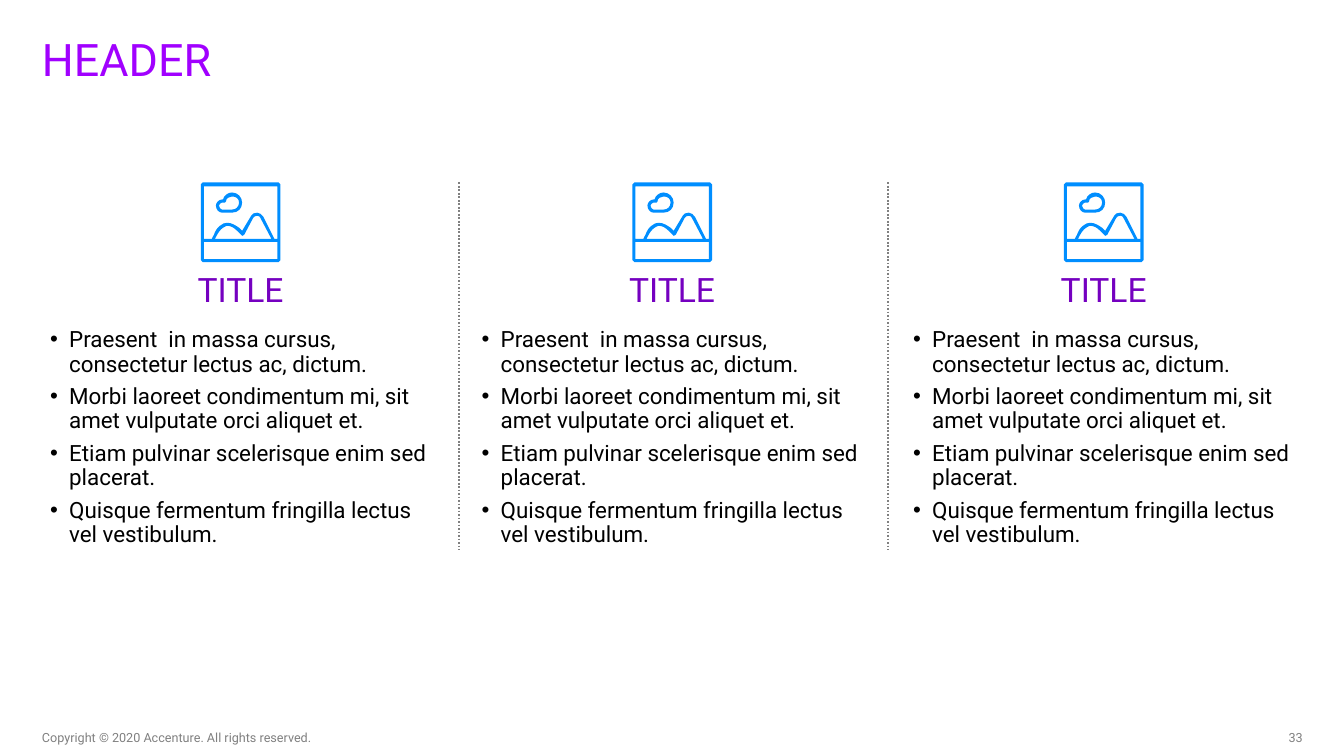
from lxml.etree import SubElement
from pptx import Presentation
from pptx.dml.color import RGBColor
from pptx.enum.dml import MSO_LINE
from pptx.enum.shapes import MSO_CONNECTOR
from pptx.enum.text import MSO_ANCHOR, MSO_AUTO_SIZE, PP_ALIGN
from pptx.oxml.ns import qn
from pptx.util import Inches, Pt

# Content
HEADER = "HEADER"
BULLETS = [
    "Praesent  in massa cursus, consectetur lectus ac, dictum.",
    "Morbi laoreet condimentum mi, sit amet vulputate orci aliquet et.",
    "Etiam pulvinar scelerisque enim sed placerat.",
    "Quisque fermentum fringilla lectus vel vestibulum.",
]
COLUMNS = [("TITLE", BULLETS)] * 3
COPYRIGHT = "Copyright © 2020 Accenture. All rights reserved."
PAGE = "33"

# Icon contours in 1/100 inch: a pair is a point, six numbers are a Bezier curve
FRAME = [
    [(2, 0), (77, 0), (79, 2), (79, 77), (77, 79), (2, 79), (0, 77), (0, 2)],
    [(76, 4), (76, 56), (73, 56), (62, 34), (61, 32, 58, 30, 56, 30),
     (53, 30, 51, 31, 50, 33), (41, 48), (40, 47, 39, 46, 38, 45),
     (35, 43, 31, 40, 26, 40), (24, 40, 21, 41, 19, 43),
     (16, 45, 14, 49, 13, 52), (12, 54, 11, 55, 11, 56), (3, 56), (3, 4)],
    [(40, 52), (40, 53, 41, 53, 41, 53), (42, 53, 42, 53, 43, 52), (52, 35),
     (53, 34, 54, 33, 56, 33), (57, 33, 59, 34, 59, 35), (70, 56), (14, 56),
     (15, 54, 16, 52, 18, 49), (19, 47, 21, 46, 22, 45),
     (24, 44, 25, 43, 26, 43), (30, 43, 33, 45, 36, 48),
     (37, 49, 38, 50, 39, 51)],
    [(3, 59), (76, 59), (76, 76), (3, 76)],
]
CLOUD = [
    [(21, 30), (31, 30), (37, 30, 41, 26, 41, 20), (41, 15, 37, 10, 31, 10),
     (27, 10, 23, 13, 22, 17), (21, 17), (18, 17, 15, 20, 15, 23),
     (15, 27, 18, 30, 21, 30)],
    [(21, 20), (24, 20), (25, 20, 25, 20, 25, 19), (25, 16, 28, 14, 31, 14),
     (35, 14, 38, 16, 38, 20), (38, 24, 35, 27, 31, 27), (21, 27),
     (20, 27, 18, 25, 18, 23), (18, 22, 20, 20, 21, 20)],
]

# Colours and grid (inches)
PURPLE = RGBColor(0xA1, 0x00, 0xFF)
DEEP_PURPLE = RGBColor(0x75, 0x00, 0xC0)
BLUE = RGBColor(0x00, 0x8E, 0xFF)
GREY = RGBColor(0x80, 0x80, 0x80)
BLACK = RGBColor(0, 0, 0)
FONT = "Roboto"
WIDTH, HEIGHT = 13.33, 7.5
MARGIN = WIDTH / 32
COL_W, COL_STEP = 3.94, 4.28
TOP, BOTTOM = 1.81, 5.45
ICON_W, TITLE_W = 0.79, 3.21
DIVIDER_X, DIVIDER_STEP = 4.55, 4.26
FOOTER_Y, FOOTER_H = 7.24, 0.15
UNIT = Inches(0.01)


def write(shape, lines, size, color, align=PP_ALIGN.LEFT, spacing=1.0,
          anchor=MSO_ANCHOR.TOP, inset=0, bullet=False):
    tf = shape.text_frame
    tf.word_wrap = True
    tf.auto_size = MSO_AUTO_SIZE.NONE
    tf.vertical_anchor = anchor
    tf.margin_left = tf.margin_right = Inches(inset)
    tf.margin_top = tf.margin_bottom = 0
    for i, line in enumerate(lines):
        p = tf.add_paragraph() if i else tf.paragraphs[0]
        p.text = line
        p.alignment = align
        p.line_spacing = spacing
        p.space_before = Pt(6 if i else 0)
        if bullet:
            pPr = p._p.get_or_add_pPr()
            pPr.set("marL", str(Inches(0.19)))
            pPr.set("indent", str(-Inches(0.19)))
            SubElement(pPr, qn("a:buFont"), typeface="Arial")
            SubElement(pPr, qn("a:buChar"), char="•")
        font = p.runs[0].font
        font.name, font.size, font.color.rgb = FONT, Pt(size), color


def add_text(s, x, y, w, h, lines, size, color, **style):
    box = s.shapes.add_textbox(Inches(x), Inches(y), Inches(w), Inches(h))
    write(box, lines, size, color, **style)


def add_outline(shapes, contours, x, y):
    ends = [[item[-2:] for item in contour] for contour in contours]
    builder = shapes.build_freeform(*ends[0][0], scale=UNIT)
    for i, points in enumerate(ends):
        if i:
            builder.move_to(*points[0])
        builder.add_line_segments(points[1:])
    sp = builder.convert_to_shape(Inches(x), Inches(y))

    # Turn the segments that are curves into Bezier segments
    left = min(px for points in ends for px, _ in points)
    top = min(py for points in ends for _, py in points)
    items = [item for contour in contours for item in contour[1:]]
    for item, segment in zip(items, list(sp._element.iter(qn("a:lnTo")))):
        if len(item) == 6:
            segment.tag = qn("a:cubicBezTo")
            segment.clear()
            for px, py in zip(item[::2], item[1::2]):
                SubElement(segment, qn("a:pt"), x=str(px - left), y=str(py - top))

    sp.fill.solid()
    sp.fill.fore_color.rgb = BLUE
    sp.line.fill.background()
    sp.shadow.inherit = False


def main():
    prs = Presentation()
    prs.slide_width, prs.slide_height = Inches(WIDTH), Inches(HEIGHT)
    s = prs.slides.add_slide(prs.slide_layouts[5])

    # Header
    title = s.shapes.title
    title.left, title.top = Inches(MARGIN), Inches(MARGIN)
    title.width, title.height = Inches(12.5), Inches(0.98)
    write(title, [HEADER], 32, PURPLE, spacing=0.8)

    # Columns: icon, title, bullets
    for i, (name, bullets) in enumerate(COLUMNS):
        left = MARGIN + i * COL_STEP
        center = left + COL_W / 2
        icon = s.shapes.add_group_shape()
        for contours in (FRAME, CLOUD):
            add_outline(icon.shapes, contours, center - ICON_W / 2, TOP)
        add_text(s, center - TITLE_W / 2, 2.75, TITLE_W, 0.33, [name], 24,
                 DEEP_PURPLE, align=PP_ALIGN.CENTER, spacing=0.8)
        add_text(s, left, 3.26, COL_W, 2.19, bullets, 16, BLACK,
                 spacing=0.9, inset=0.08, bullet=True)

    # Dotted dividers
    for i in range(len(COLUMNS) - 1):
        x = Inches(DIVIDER_X + i * DIVIDER_STEP)
        divider = s.shapes.add_connector(
            MSO_CONNECTOR.STRAIGHT, x, Inches(TOP), x, Inches(BOTTOM))
        divider.line.color.rgb = GREY
        divider.line.width = Pt(1.25)
        divider.line.dash_style = MSO_LINE.ROUND_DOT
        SubElement(divider._element.spPr, qn("a:effectLst"))

    # Footer
    add_text(s, MARGIN, FOOTER_Y, 2.98, FOOTER_H, [COPYRIGHT], 9, GREY,
             anchor=MSO_ANCHOR.BOTTOM)
    add_text(s, 12.24, FOOTER_Y, 0.68, FOOTER_H, [PAGE], 9, GREY,
             align=PP_ALIGN.RIGHT, anchor=MSO_ANCHOR.BOTTOM)

    prs.save("out.pptx")


if __name__ == "__main__":
    main()
